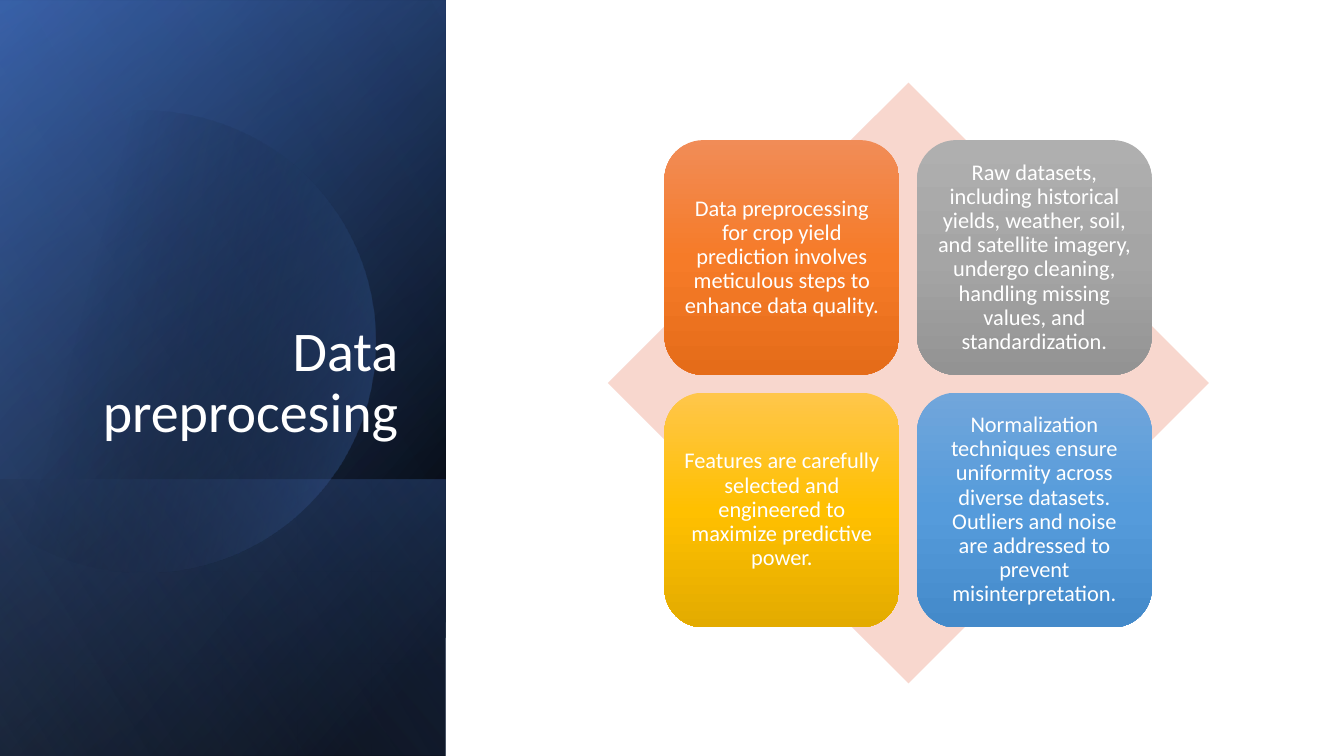
import math
from dataclasses import dataclass

from pptx import Presentation, oxml
from pptx import util as u
from pptx.dml.color import RGBColor
from pptx.enum import shapes, text
from pptx.oxml import ns

FONT = {"name": "Calibri", "bold": False}


@dataclass
class Stop:
    position: int
    hex_color: str
    alpha: int = 100


@dataclass
class Gradient:
    angle: float
    stops: list[Stop]


@dataclass
class Layer:
    left: float
    top: float
    width: float
    gradient: Gradient


@dataclass
class Card:
    wording: str
    shades: tuple[str, str, str]


PANEL_WIDTH = 4.42
PANEL_BASE = [
    Layer(-1.54, 1.54, 7.5, Gradient(50, [Stop(8, "000000"), Stop(100, "2F5597")])),
    Layer(-1.54, 1.55, 7.5, Gradient(30, [Stop(0, "000000", 0), Stop(99, "4472C4", 46)])),
    Layer(0.84, 3.92, 2.74, Gradient(130, [Stop(2, "4472C4", 29), Stop(100, "000000", 30)])),
]
PANEL_SHEEN = Layer(
    -1.54, 1.54, 7.5, Gradient(120, [Stop(0, "000000", 0), Stop(99, "8FAADC", 11)])
)
DISC_GRADIENT = Gradient(14, [Stop(29, "000000", 0), Stop(100, "4472C4", 43)])

CARD_SIZE, CARD_PITCH = 2.33, 2.505
CARDS_LEFT, CARDS_TOP = 6.59, 1.39
CARDS = [
    Card(
        "Data preprocessing for crop yield prediction involves meticulous steps "
        "to enhance data quality.",
        ("F18C57", "F67B28", "E56C19"),
    ),
    Card(
        "Raw datasets, including historical yields, weather, soil, and satellite "
        "imagery, undergo cleaning, handling missing values, and standardization.",
        ("AFAFAF", "A5A5A5", "939393"),
    ),
    Card(
        "Features are carefully selected and engineered to maximize predictive power.",
        ("FFC64B", "FFC000", "E3AB00"),
    ),
    Card(
        "Normalization techniques ensure uniformity across diverse datasets. "
        "Outliers and noise are addressed to prevent misinterpretation.",
        ("71A6DB", "559BDB", "448ACA"),
    ),
]


def color(hex_color: str) -> RGBColor:
    return RGBColor.from_string(hex_color)


def apply(target, values: dict) -> None:
    for key, value in values.items():
        setattr(target, key, value)


def plain(shape) -> None:
    shape.shadow.inherit = False
    shape.line.fill.background()


def paint(shape, gradient: Gradient) -> None:
    plain(shape)
    shape.fill.background()
    stops = "".join(
        f'<a:gs pos="{stop.position * 1000}"><a:srgbClr val="{stop.hex_color}">'
        f'<a:alpha val="{stop.alpha * 1000}"/></a:srgbClr></a:gs>'
        for stop in gradient.stops
    )
    grad_fill = oxml.parse_xml(
        f'<a:gradFill {ns.nsdecls("a")} rotWithShape="1"><a:gsLst>{stops}</a:gsLst>'
        f'<a:lin ang="{round(gradient.angle * 60000)}" scaled="0"/></a:gradFill>'
    )
    properties = shape.element.spPr
    properties.replace(properties.find(ns.qn("a:noFill")), grad_fill)


def add_preset(slide, preset, left: float, top: float, width: float, height: float):
    return slide.shapes.add_shape(
        preset, u.Inches(left), u.Inches(top), u.Inches(width), u.Inches(height)
    )


def draw_layer(slide, layer: Layer) -> None:
    rectangle = add_preset(
        slide, shapes.MSO_SHAPE.RECTANGLE, layer.left, layer.top, layer.width, PANEL_WIDTH
    )
    paint(rectangle, layer.gradient)
    rectangle.rotation = 90
    rectangle.element.spPr.find(ns.qn("a:xfrm")).set("flipH", "1")


def draw_disc(slide) -> None:
    center_x, center_y, radius, cut_x = 1.43, 3.39, 2.29, -0.15
    limit = math.acos((cut_x - center_x) / radius)
    steps = 120
    angles = [limit * (2 * step / steps - 1) for step in range(steps + 1)]
    rim = [
        (
            u.Inches(center_x + radius * math.cos(angle)),
            u.Inches(center_y + radius * math.sin(angle)),
        )
        for angle in angles
    ]
    builder = slide.shapes.build_freeform(*rim[0])
    builder.add_line_segments(rim[1:], close=True)
    paint(builder.convert_to_shape(), DISC_GRADIENT)


def write(frame, wording: str, size: int, alignment, frame_values: dict) -> None:
    apply(frame, {"word_wrap": True, "auto_size": text.MSO_AUTO_SIZE.NONE, **frame_values})
    paragraph = frame.paragraphs[0]
    apply(paragraph, {"text": wording, "alignment": alignment, "line_spacing": 0.9})
    font = paragraph.runs[0].font
    apply(font, {**FONT, "size": u.Pt(size)})
    font.color.rgb = color("FFFFFF")


def draw_title(slide) -> None:
    title = slide.shapes.title
    box = {"left": 0.64, "top": 1.84, "width": 3.41, "height": 2.62}
    apply(title, {side: u.Inches(length) for side, length in box.items()})
    write(
        title.text_frame,
        "Data preprocesing",
        40,
        text.PP_ALIGN.RIGHT,
        {"vertical_anchor": text.MSO_ANCHOR.BOTTOM},
    )
    title.element.getparent().append(title.element)


def draw_card(slide, index: int, card: Card) -> None:
    row, column = divmod(index, 2)
    tile = add_preset(
        slide,
        shapes.MSO_SHAPE.ROUNDED_RECTANGLE,
        CARDS_LEFT + column * CARD_PITCH,
        CARDS_TOP + row * CARD_PITCH,
        CARD_SIZE,
        CARD_SIZE,
    )
    stops = [Stop(50 * order, shade) for order, shade in enumerate(card.shades)]
    paint(tile, Gradient(90, stops))
    margins = {f"margin_{side}": u.Inches(0.07) for side in ("left", "top", "right", "bottom")}
    write(
        tile.text_frame,
        card.wording,
        16,
        text.PP_ALIGN.CENTER,
        {"vertical_anchor": text.MSO_ANCHOR.MIDDLE, **margins},
    )


def main() -> None:
    deck = Presentation()
    apply(deck, {"slide_width": u.Inches(13.33), "slide_height": u.Inches(7.5)})
    slide = deck.slides.add_slide(deck.slide_layouts.get_by_name("Title Only"))

    for layer in PANEL_BASE:
        draw_layer(slide, layer)
    draw_disc(slide)
    draw_layer(slide, PANEL_SHEEN)
    draw_title(slide)

    diamond = add_preset(slide, shapes.MSO_SHAPE.DIAMOND, 6.03, 0.82, 5.96, 5.96)
    plain(diamond)
    diamond.fill.solid()
    diamond.fill.fore_color.rgb = color("F8D7CE")
    for index, card in enumerate(CARDS):
        draw_card(slide, index, card)

    deck.save("out.pptx")


if __name__ == "__main__":
    main()
